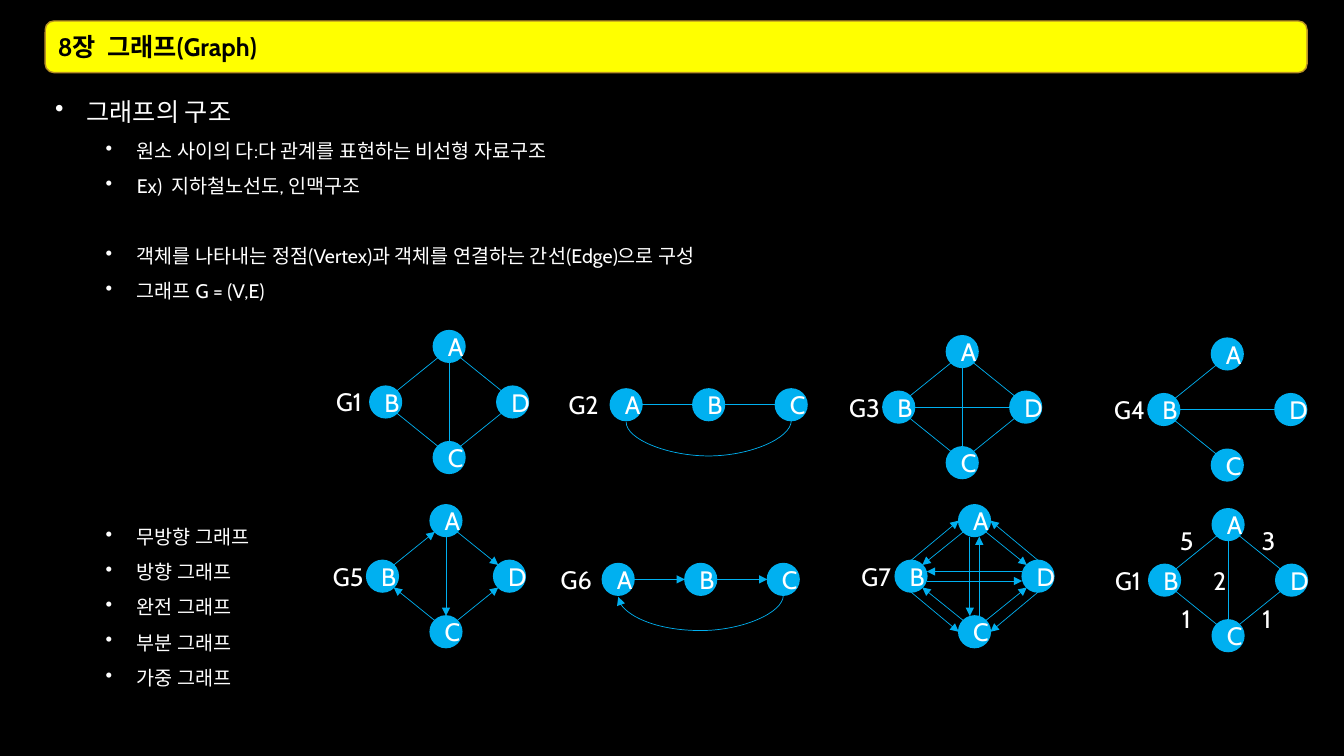
from math import hypot

from pptx import Presentation
from pptx.dml.color import RGBColor
from pptx.enum.shapes import MSO_CONNECTOR, MSO_SHAPE
from pptx.enum.text import MSO_ANCHOR, PP_ALIGN
from pptx.oxml.ns import qn
from pptx.util import Cm, Pt
from lxml import etree

STRAIGHT, CURVE = MSO_CONNECTOR.STRAIGHT, MSO_CONNECTOR.CURVE
OVAL, RECT, ROUNDED = MSO_SHAPE.OVAL, MSO_SHAPE.RECTANGLE, MSO_SHAPE.ROUNDED_RECTANGLE
LEFT, CENTER = PP_ALIGN.LEFT, PP_ALIGN.CENTER
TOP, MIDDLE = MSO_ANCHOR.TOP, MSO_ANCHOR.MIDDLE

FONT = "Cabin"
COLORS = {"black": "000000", "white": "FFFFFF", "title": "FFFF00",
          "title_line": "B79024", "graph": "00B0F0"}

# Content: heading, then (text, level, points of space before)
HEADING = "8장  그래프(Graph)"
OUTLINE = [
    ("그래프의 구조", 0, 0),
    ("원소 사이의 다:다 관계를 표현하는 비선형 자료구조", 1, 0),
    ("Ex)  지하철노선도, 인맥구조", 1, 0),
    ("객체를 나타내는 정점(Vertex)과 객체를 연결하는 간선(Edge)으로 구성", 1, 24.6),
    ("그래프 G = (V,E)", 1, 0),
    ("무방향 그래프", 1, 150.4),
    ("방향 그래프", 1, 0),
    ("완전 그래프", 1, 0),
    ("부분 그래프", 1, 0),
    ("가중 그래프", 1, 0),
]
LEVELS = [(18, 0.79), (14, 2.06)]  # font size, indent in cm
HANGING = 0.79

# Vertex centres relative to the graph centre, in cm
DIAMOND = {"B": (-1.6, 0), "A": (0, -1.4), "C": (0, 1.4), "D": (1.6, 0)}
CHAIN = {"A": (-2.08, 0), "B": (0, 0), "C": (2.08, 0)}
RIM = "AB AC AD CD CB"

# Label, centre in cm, vertices, directed, edges by route
GRAPHS = [
    ("G1", (11.32, 10.13), DIAMOND, False, {"direct": RIM}),
    ("G2", (17.86, 10.2), CHAIN, False, {"direct": "AB BC", "arc": "CA"}),
    ("G3", (24.25, 10.26), DIAMOND, False, {"direct": RIM + " BD"}),
    ("G4", (30.93, 10.32), DIAMOND, False, {"direct": "AB CB BD"}),
    ("G5", (11.24, 14.52), DIAMOND, True, {"direct": "BA AC AD CD CB"}),
    ("G6", (17.66, 14.6), CHAIN, True, {"direct": "AB BC", "arc": "CA"}),
    ("G7", (24.56, 14.52), DIAMOND, True,
     {"direct": "AB AD CD CB", "lane": "CA AC DB BD", "outer": "BA DA DC BC"}),
    ("G1", (30.95, 14.62), DIAMOND, False, {"direct": RIM}),
]
# Weights of the last graph, relative to its centre
WEIGHTS = [("5", -1.02, -1), ("3", 1.04, -1), ("2", -0.18, 0),
           ("1", -0.97, 0.98), ("1", 1.06, 0.98)]

RADIUS = 0.4
LANE = 0.12
ARC_DEPTH, ARC_BOX = 0.89, 0.04
LABEL_W, WEIGHT_W, LABEL_H = 1.6, 0.89, 1.02


def rgb(name):
    return RGBColor.from_string(COLORS[name])


def write(paragraph, text, size=18, color="white", bold=False, align=LEFT):
    paragraph.text = text
    paragraph.alignment = align
    font = paragraph.font
    font.name, font.size, font.bold = FONT, Pt(size), bold
    font.color.rgb = rgb(color)


def add_block(kind, x, y, w, h, fill, line, anchor):
    block = slide.shapes.add_shape(kind, Cm(x), Cm(y), Cm(w), Cm(h))
    block.shadow.inherit = False
    block.fill.solid()
    block.fill.fore_color.rgb = rgb(fill)
    block.line.color.rgb = rgb(line)
    block.line.width = Pt(1)
    frame = block.text_frame
    frame.word_wrap, frame.vertical_anchor = True, anchor
    return frame


def add_label(text, x, y, w):
    frame = slide.shapes.add_textbox(Cm(x), Cm(y), Cm(w), Cm(LABEL_H)).text_frame
    frame.word_wrap = True
    write(frame.paragraphs[0], text)


def sign(value):
    return (value > 0) - (value < 0)


def rim_point(center, direction):
    length = hypot(*direction)
    return [c + RADIUS * d / length for c, d in zip(center, direction)]


def edge_ends(start, end, route):
    sx, sy = (sign(b - a) for a, b in zip(start, end))
    if route == "outer":
        return rim_point(start, (0, sy)), rim_point(end, (-sx, 0))
    shift = (-sy * LANE, sx * LANE) if route == "lane" else (0, 0)
    ends = rim_point(start, (sx, sy)), rim_point(end, (-sx, -sy))
    return [[p + s for p, s in zip(point, shift)] for point in ends]


def add_edge(start, end, route, directed):
    if route == "arc":
        # Upright box turned a quarter, so that the curve hangs below the chain
        mid_x, span = (start[0] + end[0]) / 2, start[0] - end[0]
        mid_y = start[1] + RADIUS + ARC_BOX / 2
        x, y = mid_x - ARC_BOX / 2, mid_y - span / 2
        edge = slide.shapes.add_connector(CURVE, Cm(x), Cm(y), Cm(x + ARC_BOX), Cm(y + span))
        properties = edge._element.spPr
        properties.find(qn("a:xfrm")).set("rot", "5400000")
        geometry = properties.find(qn("a:prstGeom"))
        guides = geometry.find(qn("a:avLst"))
        if guides is None:
            guides = etree.SubElement(geometry, qn("a:avLst"))
        etree.SubElement(guides, qn("a:gd"), name="adj1",
                         fmla=f"val {round(ARC_DEPTH / ARC_BOX * 100000)}")
    else:
        (x1, y1), (x2, y2) = edge_ends(start, end, route)
        edge = slide.shapes.add_connector(STRAIGHT, Cm(x1), Cm(y1), Cm(x2), Cm(y2))
    edge.line.color.rgb = rgb("graph")
    edge.line.width = Pt(0.5)
    if directed:
        etree.SubElement(edge.line._get_or_add_ln(), qn("a:tailEnd"), type="triangle")
    etree.SubElement(edge._element.spPr, qn("a:effectLst"))


def add_graph(label, center, vertices, directed, routes):
    cx, cy = center
    places = {name: (cx + dx, cy + dy) for name, (dx, dy) in vertices.items()}
    for name, (x, y) in places.items():
        frame = add_block(OVAL, x - RADIUS, y - RADIUS, 2 * RADIUS, 2 * RADIUS,
                          "graph", "graph", MIDDLE)
        write(frame.paragraphs[0], name, align=CENTER)
    for route, edges in routes.items():
        for start, end in edges.split():
            add_edge(places[start], places[end], route, directed)
    gap = 1.7 if vertices is CHAIN else 1.5
    add_label(label, min(x for x, _ in places.values()) - gap, cy - LABEL_H / 2, LABEL_W)


prs = Presentation()
prs.slide_width, prs.slide_height = Cm(33.87), Cm(19.05)
slide = prs.slides.add_slide(prs.slide_layouts[6])
slide.background.fill.solid()
slide.background.fill.fore_color.rgb = rgb("black")

# Heading bar
heading = add_block(ROUNDED, 1.14, 0.53, 31.8, 1.3, "title", "title_line", MIDDLE)
write(heading.paragraphs[0], HEADING, color="black", bold=True)

# Outline
outline = add_block(RECT, 1.14, 1.93, 31.8, 16.61, "black", "black", TOP)
for i, (text, level, before) in enumerate(OUTLINE):
    item = outline.add_paragraph() if i else outline.paragraphs[0]
    size, indent = LEVELS[level]
    write(item, text, size)
    item.level, item.line_spacing, item.space_before = level, 1.5, Pt(before)
    bullet = item._p.get_or_add_pPr()
    bullet.set("marL", str(Cm(indent)))
    bullet.set("indent", str(-Cm(HANGING)))
    mark = etree.Element(qn("a:buChar"), char="•")
    bullet.find(qn("a:defRPr")).addprevious(mark)

# Graphs and weights
for graph in GRAPHS:
    add_graph(*graph)
weighted_x, weighted_y = GRAPHS[-1][1]
for weight, dx, dy in WEIGHTS:
    add_label(weight, weighted_x + dx - WEIGHT_W / 2, weighted_y + dy - LABEL_H / 2, WEIGHT_W)

prs.save("out.pptx")
